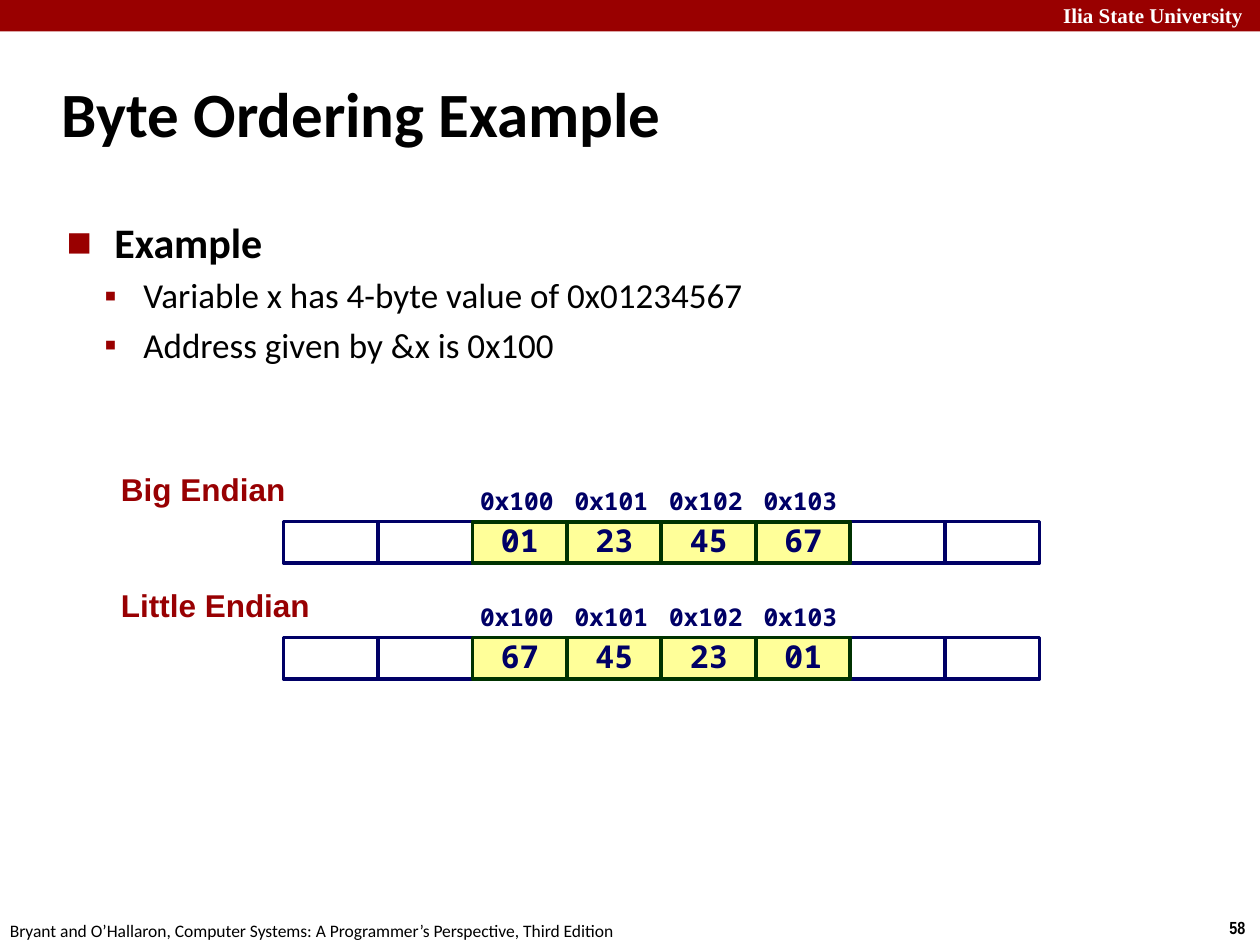
from lxml import etree
from pptx import Presentation
from pptx.dml.color import RGBColor
from pptx.enum import shapes, text
from pptx.oxml import ns
from pptx.util import Inches, Pt

RED = RGBColor(0x99, 0x00, 0x00)
LABEL_RED = RGBColor(0x98, 0x00, 0x02)
NAVY = RGBColor(0x00, 0x00, 0x66)
GREEN = RGBColor(0x00, 0x33, 0x00)
YELLOW = RGBColor(0xFF, 0xFF, 0x99)
WHITE = RGBColor(0xFF, 0xFF, 0xFF)
BLACK = RGBColor(0x00, 0x00, 0x00)
MONO = "Noto Sans Mono"
BULLET_FONT = "Arial"

# Content
TITLE = "Byte Ordering Example"
# text, size, bold, left margin, indent, space before, bullet, level
BULLETS = [
    ("Example", 24, True, 0.38, -0.38, 0, "■", 0),
    ("Variable x has 4-byte value of 0x01234567", 20, False, 0.61, -0.31, 4, "▪", 1),
    ("Address given by &x is 0x100", 20, False, 0.61, -0.31, 4, "▪", 1),
]
ADDRESSES = ["0x100", "0x101", "0x102", "0x103"]
# label, top of the memory row, bytes
MEMORY_ROWS = [
    ("Big Endian", 4.14, ["01", "23", "45", "67"]),
    ("Little Endian", 5.06, ["67", "45", "23", "01"]),
]
# text, box, size, font, colour, bold
FRAME_TEXTS = [
    ("Ilia State University", (8.34, -0.03, 1.73, 0.3), 12, "Times New Roman", WHITE, True),
    ("58", (9.66, 7.23, 0.34, 0.27), 10, "Arial Narrow", BLACK, True),
    ("Bryant and O’Hallaron, Computer Systems: A Programmer’s Perspective, Third Edition",
     (-0.02, 7.25, 5.08, 0.27), 10, "Calibri", BLACK, False),
]

# Memory grid
GRID_LEFT, CELL_WIDTH, CELL_HEIGHT = 2.25, 0.75, 0.33
CELL_COUNT, FIRST_BYTE = 8, 2


def add_run(paragraph, words, size, font, color, bold=True):
    run = paragraph.add_run()
    run.text = words
    run.font.size = Pt(size)
    run.font.name = font
    run.font.bold = bold
    run.font.color.rgb = color


def set_margins(frame, left, top, right, bottom):
    frame.margin_left, frame.margin_top = Inches(left), Inches(top)
    frame.margin_right, frame.margin_bottom = Inches(right), Inches(bottom)


def add_text(parent, box, words, size, font, color, bold=True):
    frame = parent.add_textbox(*map(Inches, box)).text_frame
    add_run(frame.paragraphs[0], words, size, font, color, bold)
    return frame


def add_box(parent, box, fill, line=None, width=2):
    shape = parent.add_shape(shapes.MSO_SHAPE.RECTANGLE, *map(Inches, box))
    shape.shadow.inherit = False
    shape.fill.solid()
    shape.fill.fore_color.rgb = fill
    if line is None:
        shape.line.fill.background()
    else:
        shape.line.color.rgb = line
        shape.line.width = Pt(width)
    return shape


def add_bullet(paragraph, character, margin, indent):
    properties = paragraph._p.get_or_add_pPr()
    properties.set("marL", str(Inches(margin)))
    properties.set("indent", str(Inches(indent)))
    color = etree.SubElement(properties, ns.qn("a:buClr"))
    etree.SubElement(color, ns.qn("a:srgbClr")).set("val", str(RED))
    etree.SubElement(properties, ns.qn("a:buFont")).set("typeface", BULLET_FONT)
    etree.SubElement(properties, ns.qn("a:buChar")).set("char", character)


def add_memory_row(slide, label, top, values):
    group = slide.shapes.add_group_shape().shapes
    lefts = [GRID_LEFT + i * CELL_WIDTH for i in range(CELL_COUNT)]
    byte_lefts = lefts[FIRST_BYTE:FIRST_BYTE + len(values)]

    # Addresses above the bytes
    for left, address in zip(byte_lefts, ADDRESSES):
        box = (left, top - CELL_HEIGHT, CELL_WIDTH, CELL_HEIGHT)
        frame = add_text(group, box, address, 14, MONO, NAVY)
        set_margins(frame, 0.06, 0.06, 0.1, 0.06)
        frame.vertical_anchor = text.MSO_ANCHOR.MIDDLE

    # Empty cells, then the bytes on top
    for left in lefts:
        if left not in byte_lefts:
            add_box(group, (left, top, CELL_WIDTH, CELL_HEIGHT), WHITE, NAVY)
    for left, value in zip(byte_lefts, values):
        cell = add_box(group, (left, top, CELL_WIDTH, CELL_HEIGHT), YELLOW, GREEN, 2.25)
        frame = cell.text_frame
        set_margins(frame, 0, 0, 0, 0)
        frame.vertical_anchor = text.MSO_ANCHOR.MIDDLE
        paragraph = frame.paragraphs[0]
        paragraph.alignment = text.PP_ALIGN.CENTER
        paragraph.line_spacing = 0.9
        add_run(paragraph, value, 18, MONO, NAVY)

    # Label of the byte order
    frame = add_text(slide.shapes, (0.92, top - 0.42, 1.96, 0.36), label, 18, "Arial", LABEL_RED)
    frame.word_wrap = True
    set_margins(frame, 0.04, 0.03, 0.07, 0.03)
    frame.paragraphs[0].line_spacing = 0.95


def main():
    presentation = Presentation()
    presentation.slide_width, presentation.slide_height = Inches(10), Inches(7.5)
    slide = presentation.slides.add_slide(presentation.slide_layouts[5])

    # Header band, page number and footer
    add_box(slide.shapes, (0, 0, 10, 0.25), RED)
    for words, box, *style in FRAME_TEXTS:
        add_text(slide.shapes, box, words, *style)

    # Title
    title = slide.shapes.title
    title.left, title.top, title.width, title.height = map(Inches, (0.39, 0.48, 8.3, 0.83))
    frame = title.text_frame
    frame.auto_size = text.MSO_AUTO_SIZE.NONE
    frame.vertical_anchor = text.MSO_ANCHOR.MIDDLE
    frame.paragraphs[0].alignment = text.PP_ALIGN.LEFT
    add_run(frame.paragraphs[0], TITLE, 36, "Calibri", BLACK)

    # Bullet list
    body = slide.shapes.add_textbox(*map(Inches, (0.43, 1.67, 8.64, 5.26))).text_frame
    body.word_wrap = True
    for i, (words, size, bold, margin, indent, before, bullet, level) in enumerate(BULLETS):
        paragraph = body.add_paragraph() if i else body.paragraphs[0]
        add_bullet(paragraph, bullet, margin, indent)
        paragraph.level = level
        paragraph.space_before = Pt(before)
        add_run(paragraph, words, size, "Calibri", BLACK, bold)

    # Memory rows
    for row in MEMORY_ROWS:
        add_memory_row(slide, *row)

    presentation.save("out.pptx")


if __name__ == "__main__":
    main()
